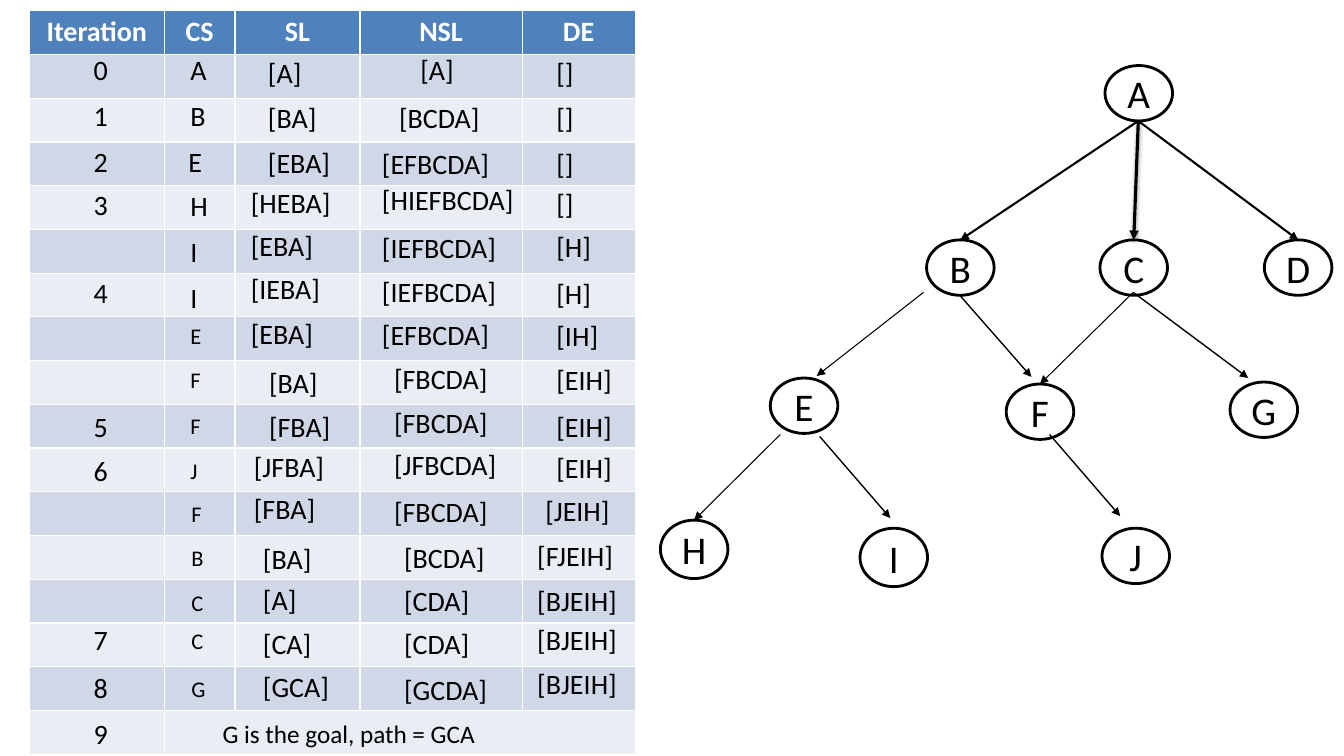
from lxml.etree import SubElement
from pptx import Presentation
from pptx.dml.color import RGBColor
from pptx.enum.shapes import MSO_CONNECTOR, MSO_SHAPE
from pptx.enum.text import MSO_ANCHOR, MSO_AUTO_SIZE, PP_ALIGN
from pptx.oxml.ns import qn
from pptx.util import Inches, Pt

WIDE, HIGH = 13.33, 7.5
STEP = 0.1  # one grid column or row, in inches
BLACK, WHITE = "000000", "FFFFFF"
HEAD, BANDS = "4F81BD", ("D0D8E8", "E9EDF4")

# Trace table: column widths and headings
COLS = {"Iteration": 13.4, "CS": 7, "SL": 12.4, "NSL": 16.1, "DE": 11.2}
ROWS, ROW = 17, 4.34

# Trace entries that share left, width and text size: (top, text)
TRACE = [
    # Iteration
    (8.3, 3.4, 20, [(4.7, "0"), (9.3, "1"), (13.8, "2"), (18.1, "3"),
                    (26.8, "4"), (40.1, "5"), (44.5, "6"), (61.3, "7"),
                    (66, "8"), (70.6, "9")]),
    # CS
    (17.9, 3.4, 20, [(4.7, "A"), (9.3, "B"), (18.2, "H"), (22.8, "I"),
                     (27.3, "I")]),
    (17.7, 3.4, 20, [(13.8, "E")]),
    (17.9, 3.4, 16, [(31.5, "E"), (35.8, "F"), (40.4, "F"), (44.9, "J")]),
    (18, 3.4, 16, [(49.1, "F"), (53.5, "B"), (58, "C"), (61.7, "C"),
                   (66.5, "G")]),
    # SL
    (25.6, 8.3, 20, [(5, "[A]"), (9.5, "[BA]"), (13.9, "[EBA]")]),
    (23.9, 10, 20, [(17.9, "[HEBA]"), (22.2, "[EBA]"), (26.4, "[IEBA]"),
                    (30.9, "[EBA]")]),
    (25.7, 8.4, 20, [(35.8, "[BA]"), (40.1, "[FBA]")]),
    (24.2, 10, 20, [(44.1, "[JFBA]"), (48.3, "[FBA]")]),
    (25.1, 8.9, 20, [(53.2, "[BA]"), (57.3, "[A]"), (61.7, "[CA]"),
                     (65.9, "[GCA]")]),
    # NSL
    (40.7, 5.4, 20, [(4.7, "[A]")]),
    (38.6, 12.1, 20, [(9.5, "[BCDA]")]),
    (36.9, 15.6, 20, [(14, "[EFBCDA]"), (17.6, "[HIEFBCDA]"),
                      (22.4, "[IEFBCDA]"), (26.7, "[IEFBCDA]"),
                      (31, "[EFBCDA]")]),
    (38.1, 15.6, 20, [(35.4, "[FBCDA]"), (39.7, "[FBCDA]"),
                      (43.9, "[JFBCDA]"), (48.6, "[FBCDA]")]),
    (39.1, 11, 20, [(53.1, "[BCDA]"), (57.4, "[CDA]"), (61.7, "[CDA]"),
                    (66.2, "[GCDA]")]),
    # DE
    (54.2, 4.2, 20, [(5, "[]"), (9.5, "[]"), (14, "[]"), (18, "[]")]),
    (54.2, 5.8, 20, [(22.3, "[H]"), (26.9, "[H]")]),
    (54.2, 7.9, 20, [(31.1, "[IH]"), (35.5, "[EIH]"), (40.1, "[EIH]"),
                     (44.2, "[EIH]")]),
    (53.1, 9, 20, [(48.5, "[JEIH]")]),
    (52.3, 10.8, 20, [(52.9, "[FJEIH]"), (57.4, "[BJEIH]"),
                      (61.3, "[BJEIH]"), (65.6, "[BJEIH]")]),
    # Result
    (21.1, 35.6, 18, [(70.8, "G is the goal, path = GCA")]),
]
TALL = {20: 4.4, 18: 7.1, 16: 3.7}

# Search tree: left, top, height of each node
NODES = {
    "A": (109.6, 6.5, 5.5), "B": (91.9, 23.8, 5.5), "C": (109.1, 23.8, 5.5),
    "D": (125.4, 23.8, 5.5), "E": (76.4, 37.5, 5.5), "F": (99.8, 38.1, 5.5),
    "G": (122, 37.9, 5.5), "H": (65.5, 51.6, 5.8), "J": (109.3, 52.4, 5.5),
    "I": (85.3, 52.4, 5.8),
}
# Edges: start, end (the top of a node, or a point), weight
ROOT, FORK = (112.9, 12), (112.4, 29)
EDGES = [
    (ROOT, "C", 2.25), (ROOT, "B", 1.5), (ROOT, "D", 1.5),
    ((91.6, 29), (81, 37.3), 0.75), ((95.2, 29.3), (102.3, 37.4), 1),
    (FORK, "F", 0.75), (FORK, (123.8, 37.5), 1),
    ((77.4, 43.1), "H", 0.75), ((81.3, 43.3), (88.3, 51.4), 1),
    ((104.1, 43.1), (111.1, 51.2), 1),
]


def ink(code):
    return RGBColor.from_string(code)


def grid(*spans):
    return [Inches(span * STEP) for span in spans]


class Board:
    font = "Calibri"

    def __init__(self, slide):
        self.shapes = slide.shapes

    def letter(self, frame, text, size, color=BLACK, bold=False, align=None):
        frame.text = text
        para = frame.paragraphs[0]
        para.alignment = align
        font = para.runs[0].font
        font.name, font.size, font.bold = self.font, Pt(size), bold
        font.color.rgb = ink(color)

    def table(self, left, top):
        box = grid(left, top, sum(COLS.values()), ROWS * ROW)
        table = self.shapes.add_table(ROWS, len(COLS), *box).table
        for col, wide in zip(table.columns, grid(*COLS.values())):
            col.width = wide
        for num, row in enumerate(table.rows):
            row.height = grid(ROW)[0]
            for cell in row.cells:
                cell.fill.solid()
                cell.fill.fore_color.rgb = ink(BANDS[(num - 1) % 2] if num else HEAD)
        for num, name in enumerate(COLS):
            self.letter(table.cell(0, num).text_frame, name, 20, WHITE, True,
                        PP_ALIGN.CENTER)
        table.cell(ROWS - 1, 1).merge(table.cell(ROWS - 1, len(COLS) - 1))

    def label(self, left, top, wide, size, text):
        box = self.shapes.add_textbox(*grid(left, top, wide, TALL[size]))
        frame = box.text_frame
        frame.word_wrap = True
        frame.auto_size = MSO_AUTO_SIZE.SHAPE_TO_FIT_TEXT
        self.letter(frame, text, size)

    def node(self, name, left, top, high):
        oval = self.shapes.add_shape(MSO_SHAPE.OVAL, *grid(left, top, 6.7, high))
        oval.shadow.inherit = False
        oval.fill.solid()
        oval.fill.fore_color.rgb = ink(WHITE)
        oval.line.color.rgb = ink(BLACK)
        oval.line.width = Pt(2)
        oval.text_frame.vertical_anchor = MSO_ANCHOR.MIDDLE
        self.letter(oval.text_frame, name, 28, align=PP_ALIGN.CENTER)
        return oval

    def arrow(self, start, end, weight, node=None, shade=False):
        line = self.shapes.add_connector(MSO_CONNECTOR.STRAIGHT, *grid(*start, *end))
        if node is not None:
            line.end_connect(node, 0)
        line.line.color.rgb = ink(BLACK)
        line.line.width = Pt(weight)
        props = line._element.spPr
        SubElement(props.find(qn("a:ln")), qn("a:tailEnd"), type="triangle")
        effect = SubElement(props, qn("a:effectLst"))
        if shade:
            cast = SubElement(effect, qn("a:outerShdw"), blurRad=str(Pt(3.1)),
                              dist=str(Pt(1.6)), dir="5400000", rotWithShape="0")
            tone = SubElement(cast, qn("a:srgbClr"), val=BLACK)
            SubElement(tone, qn("a:alpha"), val="38000")


def main():
    deck = Presentation()
    deck.slide_width, deck.slide_height = Inches(WIDE), Inches(HIGH)
    board = Board(deck.slides.add_slide(deck.slide_layouts[6]))

    # Table of the search steps
    board.table(2.9, 1)

    # Tree
    nodes = {name: board.node(name, *place) for name, place in NODES.items()}
    for start, end, weight in EDGES:
        if end in nodes:
            board.arrow(start, start, weight, nodes[end], shade=weight > 2)
        else:
            board.arrow(start, end, weight)

    # Entries over the table
    for left, wide, size, items in TRACE:
        for top, text in items:
            board.label(left, top, wide, size, text)

    deck.save("out.pptx")


if __name__ == "__main__":
    main()
